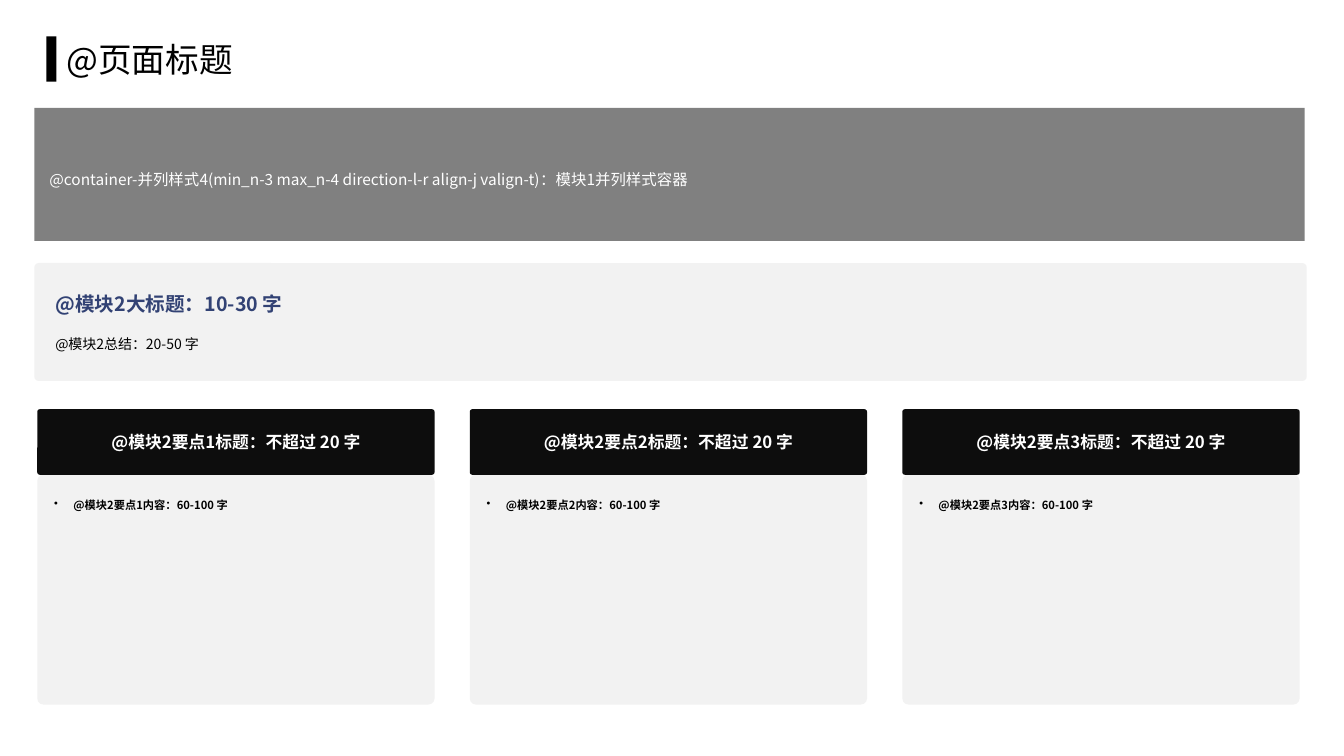
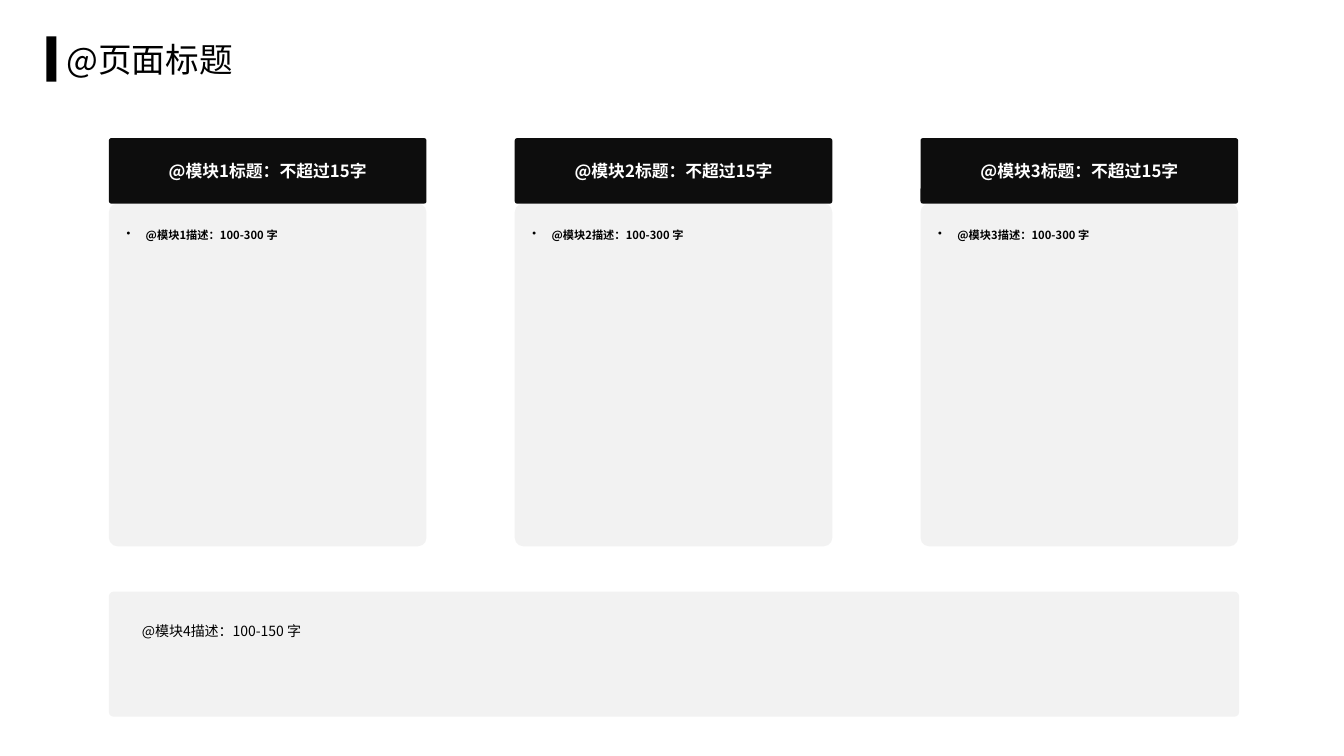
from lxml.etree import SubElement
from pptx import Presentation
from pptx.dml.color import RGBColor
from pptx.enum.shapes import MSO_SHAPE
from pptx.enum.text import MSO_ANCHOR, MSO_AUTO_SIZE, PP_ALIGN
from pptx.oxml.ns import qn
from pptx.util import Inches, Pt

# Shared style
FONT = "Noto Sans CJK SC"
COLORS = {
    "ink": "000000",
    "header": "0D0D0D",
    "panel": "F2F2F2",
    "banner": "808080",
    "accent": "324274",
    "white": "FFFFFF",
}
TITLE_AREA = (0.56, 0.28, 12.22, 0.61)
TITLE_BAR = (0.46, 0.36, 0.1, 0.45)
HEADER_HEIGHT = 0.65
PANEL_CORNER = 0.038
BODY_CORNER = 0.027
PADDING = 0.15
BULLET_INDENT = 0.19

# Content: areas are left, top, width, height in inches
PAGES = [
    {
        "title": "@页面标题",
        "banner": ((0.34, 1.07, 12.6, 1.32),
                   "@container-并列样式4(min_n-3 max_n-4 direction-l-r "
                   "align-j valign-t)：模块1并列样式容器"),
        "panel": (0.34, 2.61, 12.62, 1.17),
        "notes": [
            ((0.45, 2.73, 8.18, 0.45), "@模块2大标题：10-30 字",
             {"size": 14, "color": "accent", "bold": True}),
            ((0.45, 3.2, 11.58, 0.45), "@模块2总结：20-50 字", {"size": 10}),
        ],
        "cards": [(f"@模块2要点{n}标题：不超过 20 字",
                   f"@模块2要点{n}内容：60-100 字") for n in (1, 2, 3)],
        "card_area": (0.37, 4.06, 12.52, 2.93),
        "card_width": 3.94,
    },
    {
        "title": "@页面标题",
        "panel": (1.08, 5.87, 11.21, 1.24),
        "notes": [
            ((1.31, 6.04, 10.74, 0.89), "@模块4描述：100-150 字", {"size": 10}),
        ],
        "cards": [(f"@模块{n}标题：不超过15字",
                   f"@模块{n}描述：100-300 字") for n in (1, 2, 3)],
        "card_area": (1.08, 1.37, 11.2, 4.05),
        "card_width": 3.15,
    },
]


def rgb(name):
    return RGBColor.from_string(COLORS[name])


def write(shape, text, size, color="ink", bold=False, align=PP_ALIGN.LEFT,
          anchor=MSO_ANCHOR.TOP, spacing=1.5, padding=None, bullet=False):
    """Fill a shape with one styled paragraph."""
    frame = shape.text_frame
    frame.word_wrap = True
    frame.auto_size = MSO_AUTO_SIZE.NONE
    frame.vertical_anchor = anchor
    if padding is not None:
        frame.margin_left = frame.margin_right = Inches(padding)
        frame.margin_top = frame.margin_bottom = Inches(padding)
    para = frame.paragraphs[0]
    para.text = text
    para.alignment = align
    para.line_spacing = spacing
    para.font.size = Pt(size)
    para.font.bold = bold
    para.font.color.rgb = rgb(color)
    para.font.name = FONT

    # East Asian font and bullet need XML
    properties = para._p.get_or_add_pPr()
    font_properties = properties.find(qn("a:defRPr"))
    SubElement(font_properties, qn("a:ea")).set("typeface", FONT)
    if bullet:
        properties.set("marL", str(Inches(BULLET_INDENT)))
        properties.set("indent", str(-Inches(BULLET_INDENT)))
        mark = SubElement(properties, qn("a:buChar"))
        mark.set("char", "•")
        font_properties.addprevious(mark)


def add_box(page, area, fill, corner=None):
    """Add a flat rectangle, rounded if a corner ratio is given."""
    kind = MSO_SHAPE.RECTANGLE if corner is None else MSO_SHAPE.ROUNDED_RECTANGLE
    box = page.shapes.add_shape(kind, *map(Inches, area))
    if corner is not None:
        box.adjustments[0] = corner
    box.shadow.inherit = False
    box.fill.solid()
    box.fill.fore_color.rgb = rgb(fill)
    box.line.fill.background()
    return box


def add_title(page, text):
    title = page.shapes.title
    title.left, title.top, title.width, title.height = map(Inches, TITLE_AREA)
    write(title, text, 24, anchor=MSO_ANCHOR.MIDDLE, spacing=1.0)
    add_box(page, TITLE_BAR, "ink")


def add_cards(page, cards, area, width):
    """Spread cards evenly: a dark header above a light bulleted body."""
    left, top, total_width, height = area
    step = (total_width - width) / (len(cards) - 1)
    for index, (heading, detail) in enumerate(cards):
        x = left + index * step
        body = add_box(page, (x, top + HEADER_HEIGHT, width, height - HEADER_HEIGHT),
                       "panel", BODY_CORNER)
        write(body, detail, 8, bold=True, padding=PADDING, bullet=True)
        header = add_box(page, (x, top, width, HEADER_HEIGHT), "header", PANEL_CORNER)
        write(header, heading, 12, "white", bold=True, align=PP_ALIGN.CENTER,
              anchor=MSO_ANCHOR.MIDDLE, spacing=1.0)


def build_page(deck, content):
    page = deck.slides.add_slide(deck.slide_layouts.get_by_name("Title Only"))
    add_title(page, content["title"])
    if "banner" in content:
        area, text = content["banner"]
        write(add_box(page, area, "banner"), text, 11, "white",
              anchor=MSO_ANCHOR.MIDDLE, padding=PADDING)
    add_box(page, content["panel"], "panel", PANEL_CORNER)
    for area, text, style in content["notes"]:
        write(page.shapes.add_textbox(*map(Inches, area)), text, **style)
    add_cards(page, content["cards"], content["card_area"], content["card_width"])


def main():
    deck = Presentation()
    deck.slide_width = Inches(13.33)
    deck.slide_height = Inches(7.5)
    for content in PAGES:
        build_page(deck, content)
    deck.save("out.pptx")


if __name__ == "__main__":
    main()
